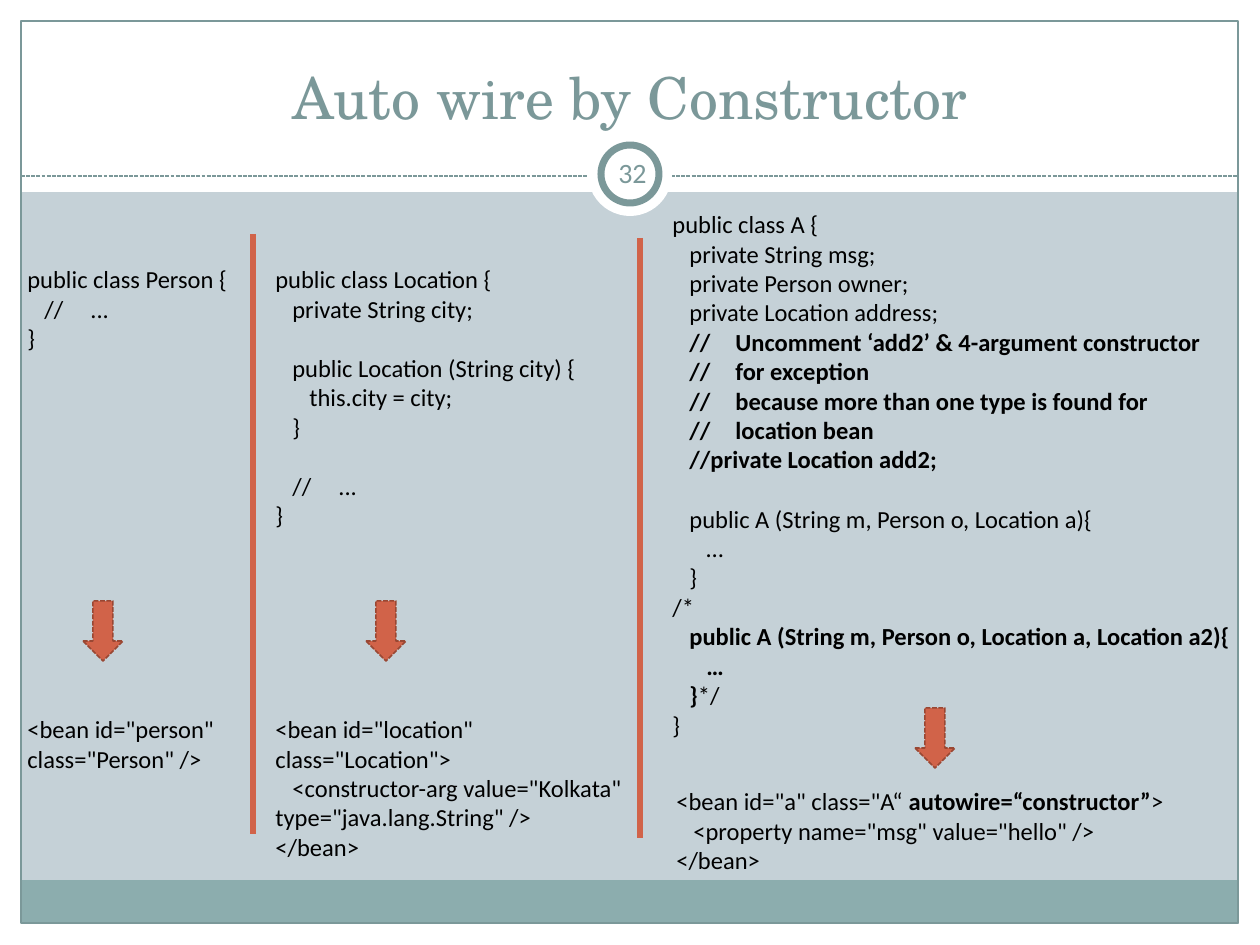
import pptx
import pptx.util
import pptx.dml.color
import pptx.enum.dml
import pptx.enum.shapes
import pptx.enum.text
import pptx.oxml
import lxml.etree

SCALE = 914400 / 126
COLORS = {"back": "C5D1D7", "white": "FFFFFF", "footer": "8CADAE", "slate": "7B9899",
          "rust": "D16349", "dark_rust": "994733", "black": "000000"}
TITLE = "Auto wire by Constructor"
NUMBER = "32"
BODY_FONT, TITLE_FONT = "Calibri", "TeX Gyre Schola"
INDENT, COMMENT_TAB, BLANK_LINE = 17, 54, 17

BANDS = [((0, 924, 1260, 21), "white"), ((0, 0, 1260, 192), "white"),
         ((0, 0, 21, 945), "white"), ((1239, 0, 21, 945), "white"),
         ((21, 880, 1217, 43), "footer")]
FRAME = (21, 21, 1217, 902)
BADGE = [((588, 132, 84, 84), None), ((601, 145, 58, 58), "slate")]
DIVIDERS = [(253, 234), (640, 238)]
DIVIDER_HEIGHT = 600
ARROWS = [(915, 708), (366, 601), (83, 601)]
ARROW_SIZE = (40, 60)

# Bold text stands between bars; an empty line adds space above the next one.
CODE = [
    ((15, 258, 232, 101), [
        (0, "public class Person {"), (1, "//\t..."), (0, "}")]),
    ((263, 258, 328, 277), [
        (0, "public class Location {"), (1, "private String city;"), (0, ""),
        (1, "public Location (String city) {"), (2, "this.city = city;"), (1, "}"), (0, ""),
        (1, "//\t..."), (0, "}")]),
    ((660, 203, 586, 543), [
        (0, "public class A {"), (1, "private String msg;"), (1, "private Person owner;"),
        (1, "private Location address;"),
        (1, "|//\tUncomment ‘add2’ & 4-argument constructor|"),
        (1, "|//\tfor exception|"),
        (1, "|//\tbecause more than one type is found for|"),
        (1, "|//\tlocation bean|"), (1, "|//private Location add2;|"), (0, ""),
        (1, "public A (String m, Person o, Location a){"), (2, "…"), (1, "}"), (0, "/*"),
        (1, "|public A (String m, Person o, Location a, Location a2){|"),
        (2, "|…|"), (1, "|}|*/"), (0, "}")]),
    ((15, 708, 232, 72), [(0, '<bean id="person" class="Person" />')]),
    ((263, 708, 387, 160), [
        (0, '<bean id="location" class="Location">'),
        (1, '<constructor-arg value="Kolkata" type="java.lang.String" />'),
        (0, "</bean>")]),
    ((664, 780, 567, 101), [
        (0, '<bean id="a" class="A“ |autowire=“constructor”|>'),
        (1, '<property name="msg" value="hello" />'), (0, "</bean>")]),
]


def px(n):
    return pptx.util.Emu(round(n * SCALE))


def rgb(name):
    return pptx.dml.color.RGBColor.from_string(COLORS[name])


def set_line(line, color, width, dashed=False):
    line.color.rgb = rgb(color)
    line.width = pptx.util.Pt(width)
    if dashed:
        line.dash_style = pptx.enum.dml.MSO_LINE.SQUARE_DOT


def add_shape(kind, box, fill=None, line=None, width=0.75, dashed=False):
    sp = s.shapes.add_shape(kind, *map(px, box))
    sp.shadow.inherit = False
    if fill:
        sp.fill.solid()
        sp.fill.fore_color.rgb = rgb(fill)
    else:
        sp.fill.background()
    if line:
        set_line(sp.line, line, width, dashed)
    else:
        sp.line.fill.background()


def add_line(x1, y1, x2, y2, color, width, dashed=False):
    c = s.shapes.add_connector(pptx.enum.shapes.MSO_CONNECTOR.STRAIGHT, *map(px, (x1, y1, x2, y2)))
    set_line(c.line, color, width, dashed)
    lxml.etree.SubElement(c.element.spPr, pptx.oxml.ns.qn("a:effectLst"))


def add_run(p, text, size, color, font=BODY_FONT, bold=False):
    r = p.add_run()
    r.text = text
    r.font.name = font
    r.font.size = pptx.util.Pt(size)
    r.font.bold = bold
    r.font.color.rgb = rgb(color)


def add_textbox(box):
    tf = s.shapes.add_textbox(*map(px, box)).text_frame
    tf.word_wrap = True
    return tf


def add_code(box, lines):
    tf = add_textbox(box)
    p, gap = tf.paragraphs[0], 0
    for i, (level, text) in enumerate(lines):
        if not text:
            gap = BLANK_LINE
            continue
        if i:
            p = tf.add_paragraph()
        p.space_before = pptx.util.Pt(gap)
        gap = 0
        pPr = p._p.get_or_add_pPr()
        pPr.set("marL", "0")
        pPr.set("indent", str(px(level * INDENT)))
        if "\t" in text:
            tabs = lxml.etree.SubElement(pPr, pptx.oxml.ns.qn("a:tabLst"))
            lxml.etree.SubElement(tabs, pptx.oxml.ns.qn("a:tab"), pos=str(px(COMMENT_TAB)), algn="l")
        for n, part in enumerate(text.split("|")):
            if part:
                add_run(p, part, 14, "black", bold=n % 2 == 1)


prs = pptx.Presentation()
prs.slide_width, prs.slide_height = px(1260), px(945)
s = prs.slides.add_slide(prs.slide_layouts[5])
s.background.fill.solid()
s.background.fill.fore_color.rgb = rgb("back")
SHAPE = pptx.enum.shapes.MSO_SHAPE

for box, fill in BANDS:
    add_shape(SHAPE.RECTANGLE, box, fill)
add_shape(SHAPE.RECTANGLE, FRAME, line="slate")
add_line(21, 176, 1239, 176, "slate", 0.75, dashed=True)
for box, line in BADGE:
    add_shape(SHAPE.OVAL, box, "white", line, 4)

title = s.shapes.title
s.shapes.element.append(title.element)
title.left, title.top, title.width, title.height = map(px, (42, 32, 1176, 105))
tf = title.text_frame
tf.vertical_anchor = pptx.enum.text.MSO_ANCHOR.BOTTOM
p = tf.paragraphs[0]
p.alignment = pptx.enum.text.PP_ALIGN.CENTER
add_run(p, TITLE, 33, "slate", TITLE_FONT)

tf = add_textbox((601, 142, 63, 60))
tf.margin_left = tf.margin_right = px(6)
tf.vertical_anchor = pptx.enum.text.MSO_ANCHOR.MIDDLE
p = tf.paragraphs[0]
p.alignment = pptx.enum.text.PP_ALIGN.CENTER
add_run(p, NUMBER, 16, "slate")

for box, lines in CODE:
    add_code(box, lines)
for x, y in ARROWS:
    add_shape(SHAPE.DOWN_ARROW, (x, y, *ARROW_SIZE), "rust", "dark_rust", 0.9, dashed=True)
for x, y in DIVIDERS:
    add_line(x, y, x, y + DIVIDER_HEIGHT, "rust", 3)

prs.save("out.pptx")
